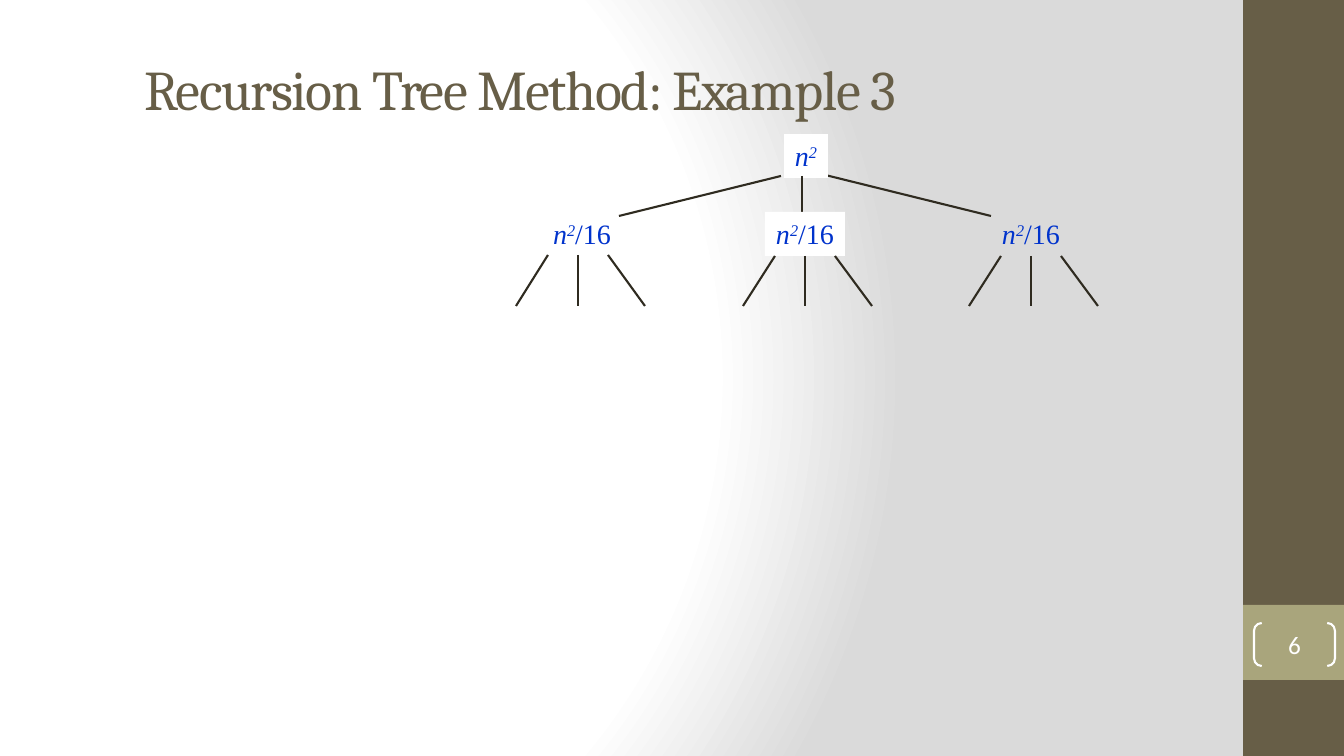
from lxml.etree import SubElement
from pptx import Presentation
from pptx.dml.color import RGBColor
from pptx.enum.shapes import MSO_CONNECTOR, MSO_SHAPE
from pptx.enum.text import MSO_ANCHOR, MSO_AUTO_SIZE, PP_ALIGN
from pptx.oxml import parse_xml
from pptx.oxml.ns import nsdecls, qn
from pptx.util import Emu, Pt

HUES = {
    "white": "FFFFFF",
    "gray": "DADADA",
    "brown": "675E47",
    "olive": "A9A57C",
    "ink": "2F2B20",
    "blue": "0033CC",
}
SCALE = 914400 / 100.8


def px(*sizes):
    return [Emu(round(size * SCALE)) for size in sizes]


def hue(name):
    return RGBColor.from_string(HUES[name])


class Deck:
    def __init__(self):
        self.file = Presentation()
        self.file.slide_width, self.file.slide_height = px(1344, 756)
        self.slide = self.file.slides.add_slide(self.file.slide_layouts[5])
        self.shapes = self.slide.shapes

    def back(self, stops, focus):
        self.slide.background.fill.solid()
        marks = "".join(
            f'<a:gs pos="{pos * 1000}"><a:srgbClr val="{HUES[name]}"/></a:gs>'
            for pos, name in stops
        )
        edges = " ".join(f'{side}="{part * 1000}"' for side, part in zip("ltrb", focus))
        grad = parse_xml(
            f'<a:gradFill {nsdecls("a")} rotWithShape="1"><a:gsLst>{marks}</a:gsLst>'
            f'<a:path path="circle"><a:fillToRect {edges}/></a:path></a:gradFill>'
        )
        solid = next(self.slide.element.iter(qn("a:solidFill")))
        solid.getparent().replace(solid, grad)

    def font(self, para, face, size, color):
        para.font.name = face
        para.font.size = Pt(size)
        para.font.color.rgb = hue(color)

    def title(self, text, *at):
        box = self.shapes.title
        box.left, box.top, box.width, box.height = px(*at)
        frame = box.text_frame
        frame.auto_size = MSO_AUTO_SIZE.NONE
        frame.vertical_anchor = MSO_ANCHOR.MIDDLE
        para = frame.paragraphs[0]
        para.alignment = PP_ALIGN.LEFT
        run = para.add_run()
        run.text = text
        run.font._element.set("spc", "-100")
        self.font(para, "Cambria", 40, "brown")

    def block(self, color, *at):
        shape = self.shapes.add_shape(MSO_SHAPE.RECTANGLE, *px(*at))
        shape.shadow.inherit = False
        shape.fill.solid()
        shape.fill.fore_color.rgb = hue(color)
        shape.line.fill.background()
        return shape

    def badge(self, text, *at):
        shape = self.shapes.add_shape(MSO_SHAPE.DOUBLE_BRACKET, *px(*at))
        shape.adjustments[0] = 0.18
        shape.shadow.inherit = False
        shape.fill.background()
        shape.line.color.rgb = hue("white")
        shape.line.width = Pt(1.5)
        frame = shape.text_frame
        frame.margin_left = frame.margin_right = 0
        frame.margin_top = frame.margin_bottom = 0
        frame.vertical_anchor = MSO_ANCHOR.MIDDLE
        para = frame.paragraphs[0]
        para.text = text
        para.alignment = PP_ALIGN.CENTER
        self.font(para, "Calibri", 18, "white")

    def node(self, tail, *at, fill=None):
        box = self.block(fill, *at) if fill else self.shapes.add_textbox(*px(*at))
        frame = box.text_frame
        frame.word_wrap = False
        frame.auto_size = MSO_AUTO_SIZE.SHAPE_TO_FIT_TEXT
        frame.vertical_anchor = MSO_ANCHOR.TOP
        para = frame.paragraphs[0]
        para.alignment = PP_ALIGN.CENTER
        for text in filter(None, ("n", "2", tail)):
            run = para.add_run()
            run.text = text
            run.font.italic = text != tail
            if text == "2":
                run.font._element.set("baseline", "30000")
        self.font(para, "Times New Roman", 20, "blue")

    def line(self, *ends):
        link = self.shapes.add_connector(MSO_CONNECTOR.STRAIGHT, *px(*ends))
        link.line.color.rgb = hue("ink")
        link.line.width = Pt(1.5)
        SubElement(link._element.spPr, qn("a:effectLst"))

    def twigs(self, mid, top):
        for start, end in ((-30, -62), (0, 0), (30, 67)):
            self.line(mid + start, top, mid + end, 306)


def main():
    deck = Deck()
    deck.back([(0, "white"), (75, "white"), (100, "gray")], (20, 50, 100, 50))
    deck.block("brown", 1243, 0, 101, 756)
    deck.block("olive", 1243, 605, 101, 75)
    deck.title("Recursion Tree Method: Example 3", 134, 42, 998, 93)
    deck.badge("6", 1254, 623, 81, 43)

    deck.line(781, 176, 619, 216)
    deck.line(809, 171, 991, 216)
    deck.node("", 784, 134, 44, 44, fill="white")
    deck.line(802, 176, 802, 216)
    for left, fill in ((542, None), (765, "white"), (991, None)):
        deck.node("/16", left, 212, 80, 44, fill=fill)
    for mid, top in ((578, 255), (805, 256), (1031, 256)):
        deck.twigs(mid, top)
    deck.file.save("out.pptx")


if __name__ == "__main__":
    main()
